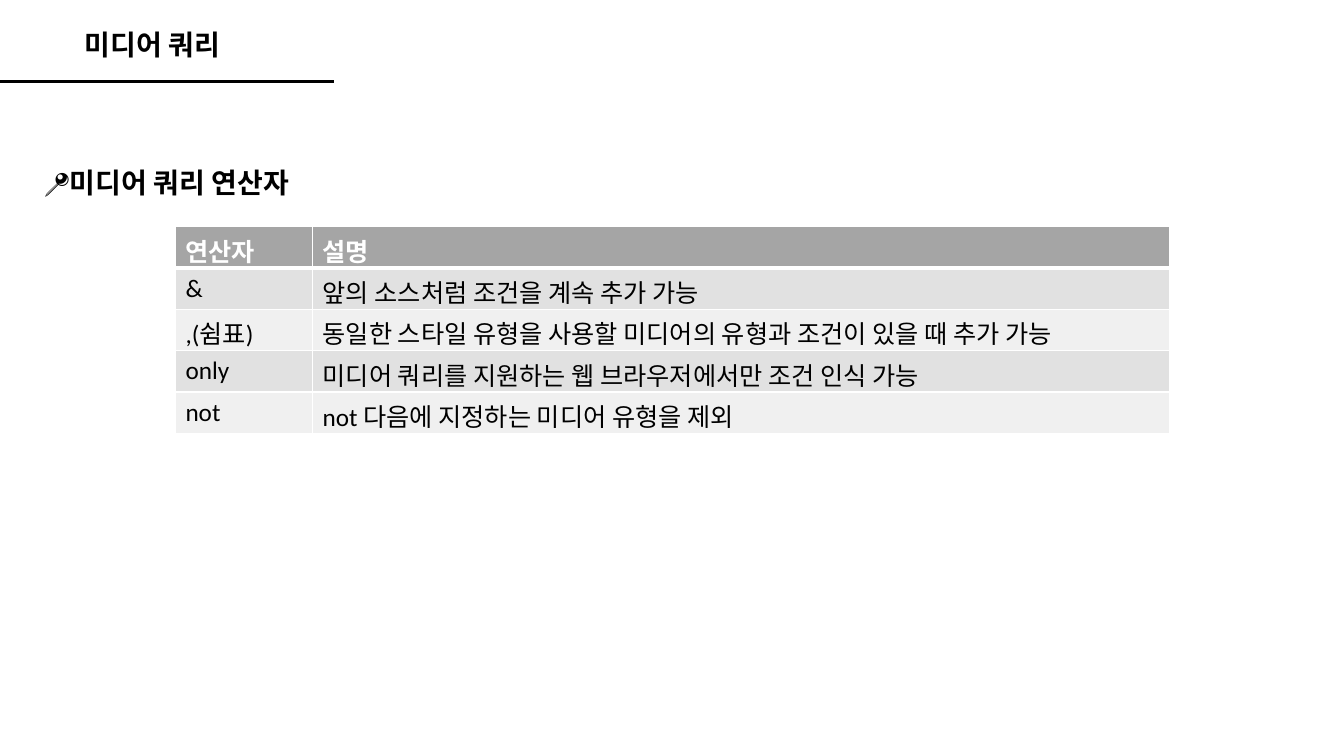
from lxml import etree
from pptx import Presentation
from pptx.dml.color import RGBColor
from pptx.enum.shapes import MSO_CONNECTOR
from pptx.enum.text import MSO_ANCHOR, MSO_AUTO_SIZE, PP_ALIGN
from pptx.oxml.ns import qn
from pptx.util import Inches, Pt

STRAIGHT = MSO_CONNECTOR.STRAIGHT
TOP = MSO_ANCHOR.TOP
LEFT = PP_ALIGN.LEFT
FIT_SHAPE = MSO_AUTO_SIZE.SHAPE_TO_FIT_TEXT

TITLE = "미디어 쿼리"
HEADING = "📍미디어 쿼리 연산자"
OPERATORS = [
    ("연산자", "설명"),
    ("&", "앞의 소스처럼 조건을 계속 추가 가능"),
    (",(쉼표)", "동일한 스타일 유형을 사용할 미디어의 유형과 조건이 있을 때 추가 가능"),
    ("only", "미디어 쿼리를 지원하는 웹 브라우저에서만 조건 인식 가능"),
    ("not", "not 다음에 지정하는 미디어 유형을 제외"),
]
COLORS = {
    "text": "000000",
    "header_text": "FFFFFF",
    "header": "A5A5A5",
    "odd": "E1E1E1",
    "even": "F0F0F0",
    "border": "FFFFFF",
}
COLUMN_WIDTHS = (1.36, 8.5)
ROW_HEIGHT = 0.41
TABLE_LEFT, TABLE_TOP = 1.74, 2.25


def write(text_frame, text, size, font, color, bold):
    text_frame.vertical_anchor = TOP
    paragraph = text_frame.paragraphs[0]
    paragraph.alignment = LEFT
    run = paragraph.add_run()
    run.text = text
    run.font.size = Pt(size)
    run.font.name = font
    run.font.bold = bold
    run.font.color.rgb = RGBColor.from_string(COLORS[color])


def place(shape, left, top, width, height):
    shape.left, shape.top = Inches(left), Inches(top)
    shape.width, shape.height = Inches(width), Inches(height)
    shape.text_frame.word_wrap = True
    shape.text_frame.auto_size = FIT_SHAPE


def set_borders(cell, top, bottom):
    properties = cell._tc.get_or_add_tcPr()
    sides = (("a:lnL", 1), ("a:lnR", 1), ("a:lnT", top), ("a:lnB", bottom))
    for index, (side, width) in enumerate(sides):
        line = etree.Element(qn(side), w=str(Pt(width)))
        fill = etree.SubElement(line, qn("a:solidFill"))
        etree.SubElement(fill, qn("a:srgbClr"), val=COLORS["border"])
        properties.insert(index, line)


def add_operator_table(slide):
    frame = slide.shapes.add_table(
        len(OPERATORS), len(COLUMN_WIDTHS), Inches(TABLE_LEFT), Inches(TABLE_TOP),
        Inches(sum(COLUMN_WIDTHS)), Inches(ROW_HEIGHT * len(OPERATORS)))
    table = frame.table
    for column, width in zip(table.columns, COLUMN_WIDTHS):
        column.width = Inches(width)
    for row_index, texts in enumerate(OPERATORS):
        table.rows[row_index].height = Inches(ROW_HEIGHT)
        header = row_index == 0
        fill = "header" if header else "odd" if row_index % 2 else "even"
        color = "header_text" if header else "text"
        for column_index, text in enumerate(texts):
            cell = table.cell(row_index, column_index)
            cell.fill.solid()
            cell.fill.fore_color.rgb = RGBColor.from_string(COLORS[fill])
            set_borders(cell, 3 if row_index == 1 else 1, 3 if header else 1)
            write(cell.text_frame, text, 18, "Calibri", color, header)


def main():
    presentation = Presentation()
    presentation.slide_width = Inches(13.33)
    presentation.slide_height = Inches(7.5)
    slide = presentation.slides.add_slide(presentation.slide_layouts[5])

    rule = slide.shapes.add_connector(
        STRAIGHT, Inches(0), Inches(0.81), Inches(3.31), Inches(0.81))
    rule.line.color.rgb = RGBColor.from_string(COLORS["text"])
    rule.line.width = Pt(2.25)
    etree.SubElement(rule._element.spPr, qn("a:effectLst"))

    title = slide.shapes.title
    place(title, 0.74, 0.22, 1.82, 0.44)
    write(title.text_frame, TITLE, 20, "Arial", "text", True)

    heading = slide.shapes.add_textbox(0, 0, 0, 0)
    place(heading, 0.34, 1.59, 12.65, 0.44)
    write(heading.text_frame, HEADING, 20, "Calibri", "text", True)

    add_operator_table(slide)
    presentation.save("out.pptx")


if __name__ == "__main__":
    main()
